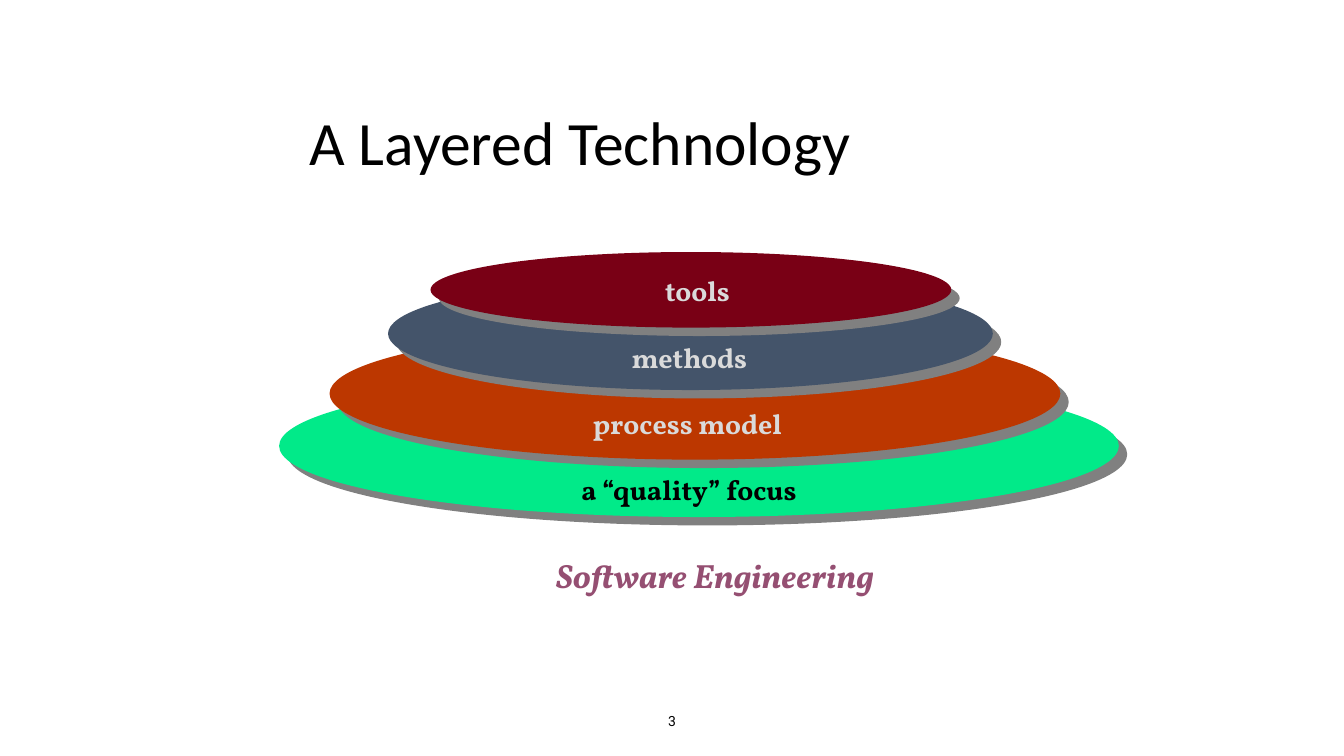
from dataclasses import dataclass

from lxml.etree import SubElement
from pptx import Presentation
from pptx.dml.color import RGBColor as RGB
from pptx.enum.shapes import MSO_SHAPE as Shape
from pptx.enum.text import MSO_ANCHOR as Anchor, MSO_AUTO_SIZE as AutoSize, PP_ALIGN as Align
from pptx.oxml.ns import qn
from pptx.util import Pt


@dataclass(frozen=True)
class Theme:
    black: str = "000000"
    light: str = "DADADA"
    plum: str = "954F72"
    wine: str = "790015"
    slate: str = "44546A"
    rust: str = "BC3700"
    green: str = "01EA89"
    shadow: str = "808080"
    title_font: str = "Calibri"
    label_font: str = "Vollkorn"
    number_font: str = "Roboto"
    title: int = 44
    caption: int = 24
    label: int = 20
    number: int = 10


T = Theme()

# Layers from top to bottom: label, fill, ellipse box, label colour, label left, label width
LAYERS = [
    ("tools", T.wine, (307.5, 180, 372, 54), T.light, 468, 62.6),
    ("methods", T.slate, (277.2, 198, 432, 80.6), T.light, 444.2, 98.6),
    ("process model", T.rust, (235.4, 234, 522, 94.3), T.light, 416.2, 157),
    ("a “quality” focus", T.green, (199.4, 267.8, 599.8, 101.5), T.black, 408.2, 175.7),
]
LABEL_TOP, LABEL_STEP, LABEL_HEIGHT = 192.1, 47.4, 31


def add_text(s, text, box, font, frame=None, para=None):
    """Add a one-line text box with its frame, paragraph and font formats."""
    tf = s.shapes.add_textbox(*map(Pt, box)).text_frame
    p = tf.paragraphs[0]
    r = p.add_run()
    r.text = text
    r.font.color.rgb = RGB.from_string(font["color"])
    r.font.size = Pt(font["size"])
    plain = {k: v for k, v in font.items() if k not in ("color", "size")}
    for target, formats in ((tf, frame or {}), (p, para or {}), (r.font, plain)):
        for name, value in formats.items():
            setattr(target, name, value)


def add_hard_shadow(sp):
    """Add an unblurred shadow to the lower right."""
    effects = sp._element.spPr.find(qn("a:effectLst"))
    shadow = SubElement(effects, qn("a:outerShdw"), blurRad="0", dist=str(Pt(8.5)),
                        dir=str(45 * 60000), algn="ctr", rotWithShape="0")
    SubElement(shadow, qn("a:srgbClr"), val=T.shadow)


def add_disc(s, box, fill):
    sp = s.shapes.add_shape(Shape.OVAL, *map(Pt, box))
    sp.fill.solid()
    sp.fill.fore_color.rgb = RGB.from_string(fill)
    sp.line.fill.background()
    sp.shadow.inherit = False
    add_hard_shadow(sp)


def main():
    prs = Presentation()
    prs.slide_width, prs.slide_height = Pt(960), Pt(540)
    s = prs.slides.add_slide(prs.slide_layouts[6])
    fit = {"word_wrap": False, "auto_size": AutoSize.SHAPE_TO_FIT_TEXT}

    # Title
    add_text(s, "A Layered Technology", (216, 77.8, 427, 51.8),
             {"name": T.title_font, "size": T.title, "color": T.black},
             {"word_wrap": True, "auto_size": AutoSize.SHAPE_TO_FIT_TEXT,
              "margin_left": Pt(5), "margin_right": Pt(5),
              "margin_top": Pt(2.2), "margin_bottom": Pt(2.2)},
             {"line_spacing": 0.9})

    # Stacked discs, the lowest layer at the back
    for _, fill, box, *_ in reversed(LAYERS):
        add_disc(s, box, fill)

    # Layer labels
    for i, (text, _, _, color, left, width) in enumerate(LAYERS):
        add_text(s, text, (left, LABEL_TOP + i * LABEL_STEP, width, LABEL_HEIGHT),
                 {"name": T.label_font, "size": T.label, "color": color, "bold": True}, fit)

    # Caption
    add_text(s, "Software Engineering", (390.2, 396, 263.5, 33.1),
             {"name": T.label_font, "size": T.caption, "color": T.plum,
              "bold": True, "italic": True}, fit, {"line_spacing": 0.9})

    # Slide number
    add_text(s, "3", (318, 500.5, 324, 28.8),
             {"name": T.number_font, "size": T.number, "color": T.black},
             {"word_wrap": True, "vertical_anchor": Anchor.MIDDLE},
             {"alignment": Align.CENTER})

    prs.save("out.pptx")


if __name__ == "__main__":
    main()
